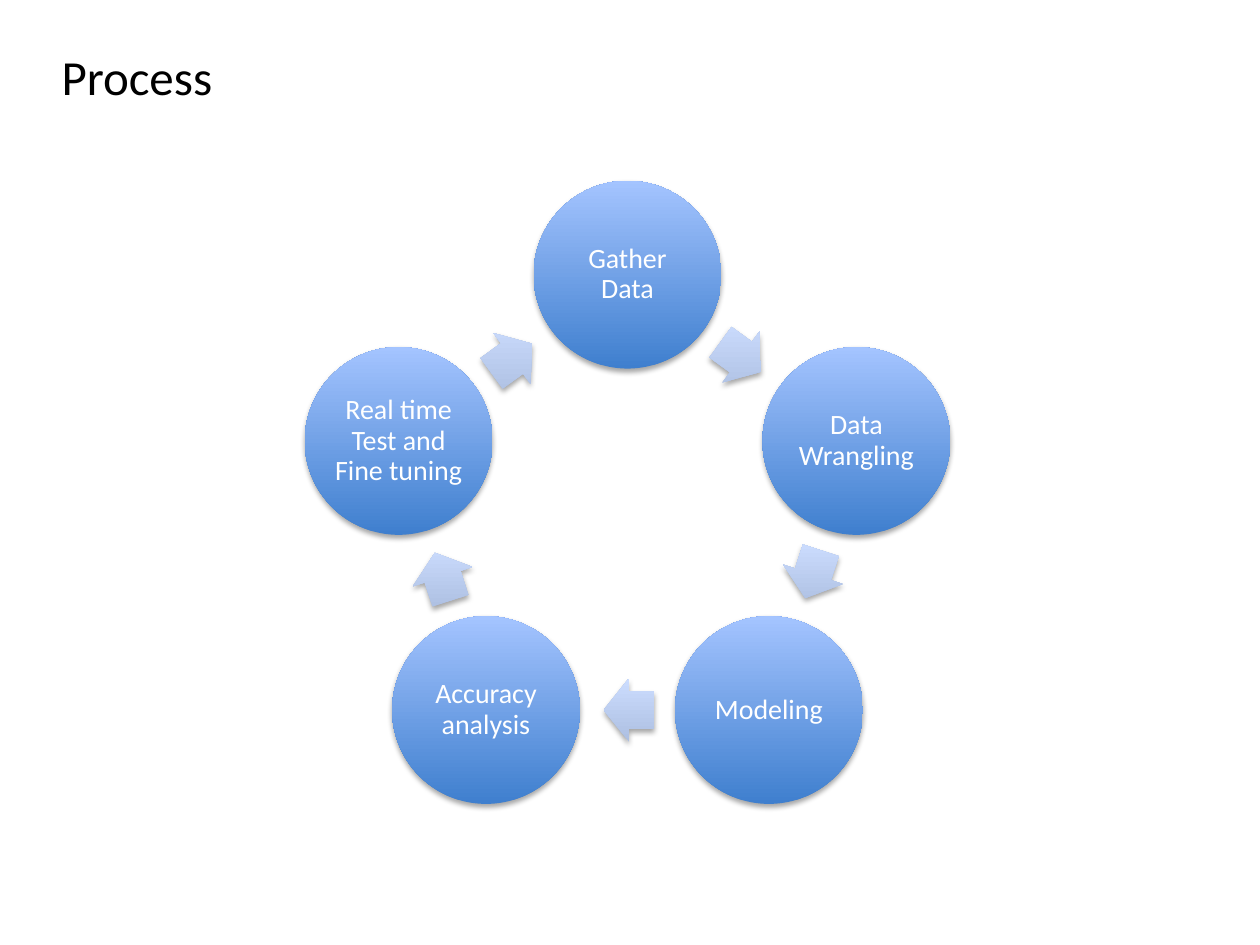
from math import cos, radians, sin

from lxml.etree import SubElement
from pptx import Presentation
from pptx.dml.color import RGBColor
from pptx.enum.shapes import MSO_SHAPE as Shape
from pptx.enum.text import MSO_ANCHOR as Anchor, PP_ALIGN as Align
from pptx.oxml.ns import qn
from pptx.util import Inches, Pt

COLORS = {
    "circle_dark": "3F7FCE",
    "circle_light": "A4C4FF",
    "arrow_dark": "ADBFE1",
    "arrow_light": "CCDDFF",
    "shadow": "000000",
    "title": "000000",
    "label": "FFFFFF",
}
FONT = "Calibri"
STEPS = [
    "Gather Data",
    "Data Wrangling",
    "Modeling",
    "Accuracy analysis",
    "Real time Test and Fine tuning",
]

# Ring geometry in inches
CENTER_X, CENTER_Y, RING_RADIUS = 4.98, 4.09, 1.91
CIRCLE_SIZE = 1.49
ARROW_WIDTH, ARROW_HEIGHT = 0.4, 0.5
ARROW_SHIFT = -0.01  # along the direction of travel


def color(name):
    return RGBColor.from_string(COLORS[name])


def add_run(paragraph, text, size, color_name):
    run = paragraph.add_run()
    run.text = text
    run.font.name = FONT
    run.font.size = Pt(size)
    run.font.color.rgb = color(color_name)


def set_gradient(shape, bottom, top):
    shape.fill.gradient()
    shape.fill.gradient_angle = 90
    for stop, position, name in zip(shape.fill.gradient_stops, (0, 1), (bottom, top)):
        stop.position = position
        stop.color.rgb = color(name)
    # Keep the light side up on turned shapes
    shape._element.spPr.find(qn("a:gradFill")).set("rotWithShape", "0")


def set_shadow(shape):
    shape.shadow.inherit = False
    effects = shape._element.spPr.find(qn("a:effectLst"))
    shadow = SubElement(
        effects, qn("a:outerShdw"), blurRad=str(Pt(3.1)), dist=str(Pt(1.8)),
        dir="5400000", rotWithShape="0")
    shade = SubElement(shadow, qn("a:srgbClr"), val=COLORS["shadow"])
    SubElement(shade, qn("a:alpha"), val="35000")


def add_centered(slide, kind, x, y, width, height, bottom, top):
    shape = slide.shapes.add_shape(
        kind, Inches(x - width / 2), Inches(y - height / 2),
        Inches(width), Inches(height))
    shape.line.fill.background()
    set_gradient(shape, bottom, top)
    set_shadow(shape)
    return shape


def add_step(slide, x, y, text):
    circle = add_centered(slide, Shape.OVAL, x, y, CIRCLE_SIZE, CIRCLE_SIZE,
                          "circle_dark", "circle_light")
    frame = circle.text_frame
    frame.word_wrap = True
    frame.vertical_anchor = Anchor.MIDDLE
    frame.margin_left = frame.margin_right = Inches(0.02)
    frame.margin_top = frame.margin_bottom = Inches(0.02)
    paragraph = frame.paragraphs[0]
    paragraph.alignment = Align.CENTER
    paragraph.line_spacing = 0.9
    add_run(paragraph, text, 16, "label")


def add_arrow(slide, x, y, rotation):
    arrow = add_centered(slide, Shape.RIGHT_ARROW, x, y, ARROW_WIDTH, ARROW_HEIGHT,
                         "arrow_dark", "arrow_light")
    arrow.adjustments[0] = 0.6
    arrow.adjustments[1] = 0.5
    arrow.rotation = rotation


def add_cycle(slide):
    step_angle = 360 / len(STEPS)
    # Arrows sit at the middle of each chord between neighbours
    chord_radius = RING_RADIUS * cos(radians(step_angle / 2))
    for index, text in enumerate(STEPS):
        angle = radians(index * step_angle)
        add_step(slide, CENTER_X + RING_RADIUS * sin(angle),
                 CENTER_Y - RING_RADIUS * cos(angle), text)

        rotation = (index + 0.5) * step_angle
        turn = radians(rotation)
        add_arrow(slide,
                  CENTER_X + chord_radius * sin(turn) + ARROW_SHIFT * cos(turn),
                  CENTER_Y - chord_radius * cos(turn) + ARROW_SHIFT * sin(turn),
                  rotation)


def add_title(slide, text):
    box = slide.shapes.add_textbox(Inches(0.39), Inches(0.3), Inches(6.34), Inches(0.61))
    frame = box.text_frame
    frame.word_wrap = True
    frame.vertical_anchor = Anchor.MIDDLE
    add_run(frame.paragraphs[0], text, 28, "title")


def main():
    presentation = Presentation()
    presentation.slide_width = Inches(10)
    presentation.slide_height = Inches(7.5)
    slide = presentation.slides.add_slide(presentation.slide_layouts[6])

    # Cycle of steps, then the heading
    add_cycle(slide)
    add_title(slide, "Process")
    presentation.save("out.pptx")


main()
